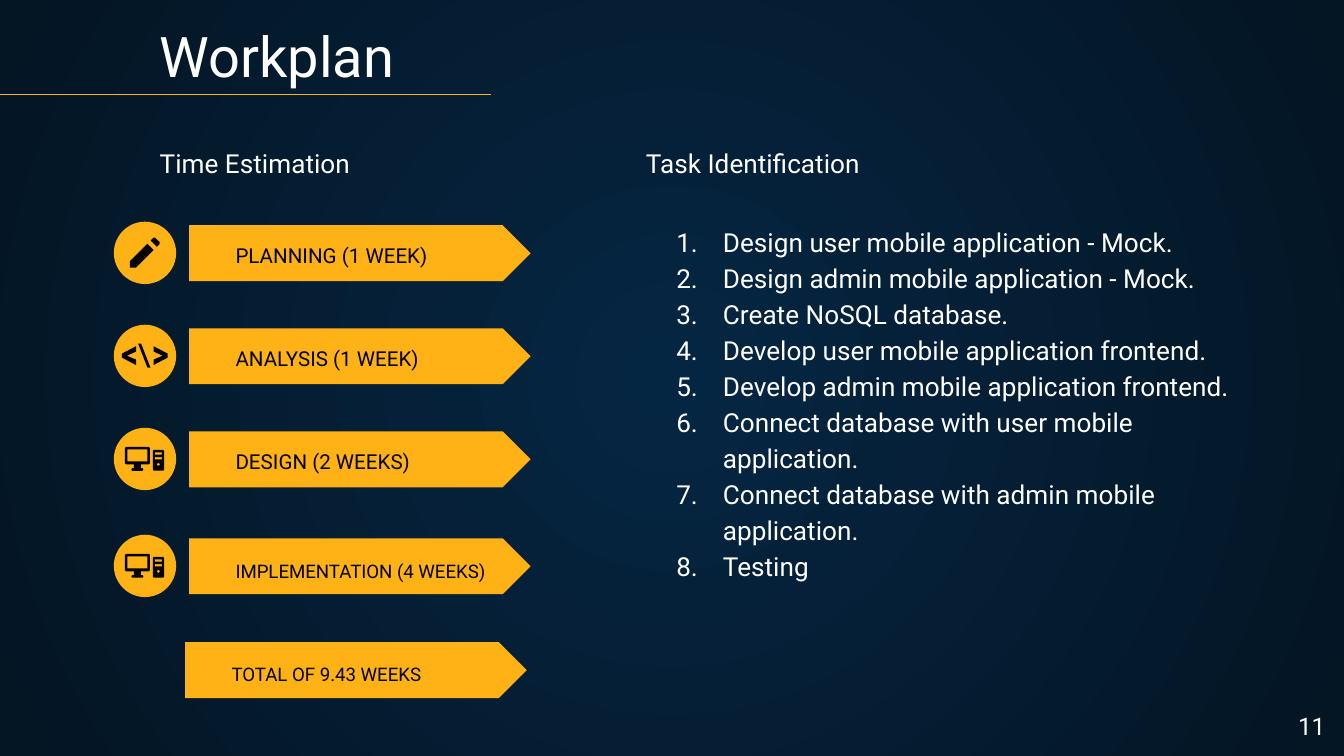
from lxml import etree
from pptx import Presentation
from pptx.dml.color import RGBColor
from pptx.enum.shapes import MSO_CONNECTOR, MSO_SHAPE
from pptx.enum.text import MSO_ANCHOR, PP_ALIGN
from pptx.oxml.ns import qn
from pptx.util import Pt

GOLD = RGBColor(0xFF, 0xB2, 0x15)
WHITE = RGBColor(0xFF, 0xFF, 0xFF)
BLACK = RGBColor(0x00, 0x00, 0x00)
NAVY = RGBColor(0x05, 0x26, 0x43)
NIGHT = RGBColor(0x04, 0x15, 0x23)
ARROW = MSO_SHAPE.PENTAGON
DISC = MSO_SHAPE.OVAL
LINE = MSO_CONNECTOR.STRAIGHT
TOP, BOTTOM = MSO_ANCHOR.TOP, MSO_ANCHOR.BOTTOM
LEFT, RIGHT = PP_ALIGN.LEFT, PP_ALIGN.RIGHT

deck = Presentation()
deck.slide_width, deck.slide_height = Pt(720), Pt(405)
slide = deck.slides.add_slide(deck.slide_layouts[6])
shapes = slide.shapes


def write(text, x, y, w, h, size, color=WHITE, anchor=BOTTOM, align=LEFT, listed=False):
    frame = shapes.add_textbox(Pt(x), Pt(y), Pt(w), Pt(h)).text_frame
    frame.word_wrap = True
    frame.vertical_anchor = anchor
    frame.margin_left = frame.margin_right = Pt(7.2)
    frame.margin_top = frame.margin_bottom = Pt(7.2)
    frame.text = text
    for para in frame.paragraphs:
        para.alignment = align
        if listed:
            para.line_spacing = 1.15
            props = para._p.get_or_add_pPr()
            props.set("marL", str(Pt(36)))
            props.set("indent", str(-Pt(25)))
            tint = etree.SubElement(props, qn("a:buClr"))
            etree.SubElement(tint, qn("a:srgbClr"), val=str(color))
            etree.SubElement(props, qn("a:buAutoNum"), type="arabicPeriod")
        for run in para.runs:
            run.font.name = "Roboto"
            run.font.size = Pt(size)
            run.font.color.rgb = color


def paint(shape, color):
    shape.shadow.inherit = False
    shape.fill.solid()
    shape.fill.fore_color.rgb = color
    shape.line.fill.background()


fill = slide.background.fill
fill.gradient()
for stop, color, place in zip(fill.gradient_stops, (NAVY, NIGHT), (0, 1)):
    stop.color.rgb = color
    stop.position = place
grad = slide.background._cSld.find(".//" + qn("a:gradFill"))
old = grad.find(qn("a:lin"))
focus = etree.Element(qn("a:path"), {"path": "circle"})
etree.SubElement(focus, qn("a:fillToRect"), l="50000", t="50000", r="50000", b="50000")
grad.replace(old, focus)

write("Workplan", 78.5, 7.2, 617, 47.5, 30)
rule = shapes.add_connector(LINE, Pt(0), Pt(50.5), Pt(263), Pt(50.5))
rule.line.color.rgb = GOLD
rule.line.width = Pt(0.75)
etree.SubElement(rule._element.spPr, qn("a:effectLst"))

for text, x in (("Time Estimation", 78.5), ("Task Identification", 339)):
    write(text, x, 80, 199, 23, 14)

pencil = [[
    [(180, 118), (86, 212), (86, 246), (120, 246), (214, 152)],
    [(197, 101), (213, 86), (222, 86), (246, 110), (246, 119), (231, 135)],
]]
angle = [(119, 115), (119, 144), (70, 166), (119, 187), (119, 216), (43, 176), (43, 155)]
code = [
    [angle],
    [[(130, 101), (146, 101), (196, 230), (180, 230)]],
    [[(332 - x, y) for x, y in angle]],
]
screen = [
    [(59, 108), (65, 102), (187, 102), (193, 108), (193, 190), (187, 196),
     (144, 196), (144, 216), (154, 216), (158, 223), (154, 230), (98, 230),
     (94, 223), (98, 216), (108, 216), (108, 196), (65, 196), (59, 190)],
    [(73, 116), (73, 180), (179, 180), (179, 116)],
]
tower = [
    [(209, 124), (214, 119), (264, 119), (269, 124),
     (269, 225), (264, 230), (214, 230), (209, 225)],
    [(220, 132), (220, 144), (258, 144), (258, 132)],
    [(220, 158), (220, 170), (258, 170), (258, 158)],
    [(236, 189), (231, 194), (231, 198), (236, 203),
     (242, 203), (247, 198), (247, 194), (242, 189)],
]
desktop = [screen, tower]

steps = (
    ("PLANNING (1 WEEK)", 101.3, 120.7, 11, pencil),
    ("ANALYSIS (1 WEEK)", 101.3, 175.9, 11, code),
    ("DESIGN (2 WEEKS)", 101.3, 231.1, 11, desktop),
    ("IMPLEMENTATION (4 WEEKS)", 101.3, 288.4, 10, desktop),
    ("TOTAL OF 9.43 WEEKS", 99.2, 344, 10, []),
)
for text, x, y, size, icon in steps:
    paint(shapes.add_shape(ARROW, Pt(x), Pt(y), Pt(183), Pt(30)), GOLD)
    write(text, x + 17.8, y + 14.4, 163.5, 15, size, BLACK)
    if icon:
        left, top = Pt(61), Pt(y - 1.9)
        paint(shapes.add_shape(DISC, left, top, Pt(33.4), Pt(33.4)), GOLD)
    for part in icon:
        pen = shapes.build_freeform(*part[0][0], scale=Pt(0.1))
        pen.add_line_segments(part[0][1:])
        for ring in part[1:]:
            pen.move_to(*ring[0])
            pen.add_line_segments(ring[1:])
        paint(pen.convert_to_shape(left, top), BLACK)

tasks = (
    "Design user mobile application - Mock.",
    "Design admin mobile application - Mock.",
    "Create NoSQL database.",
    "Develop user mobile application frontend.",
    "Develop admin mobile application frontend.",
    "Connect database with user mobile application.",
    "Connect database with admin mobile application.",
    "Testing",
)
write("\n".join(tasks), 344.2, 111.6, 332.6, 218, 14, anchor=TOP, listed=True)
write("11", 674, 373.7, 43, 31, 13, anchor=TOP, align=RIGHT)

deck.save("out.pptx")
